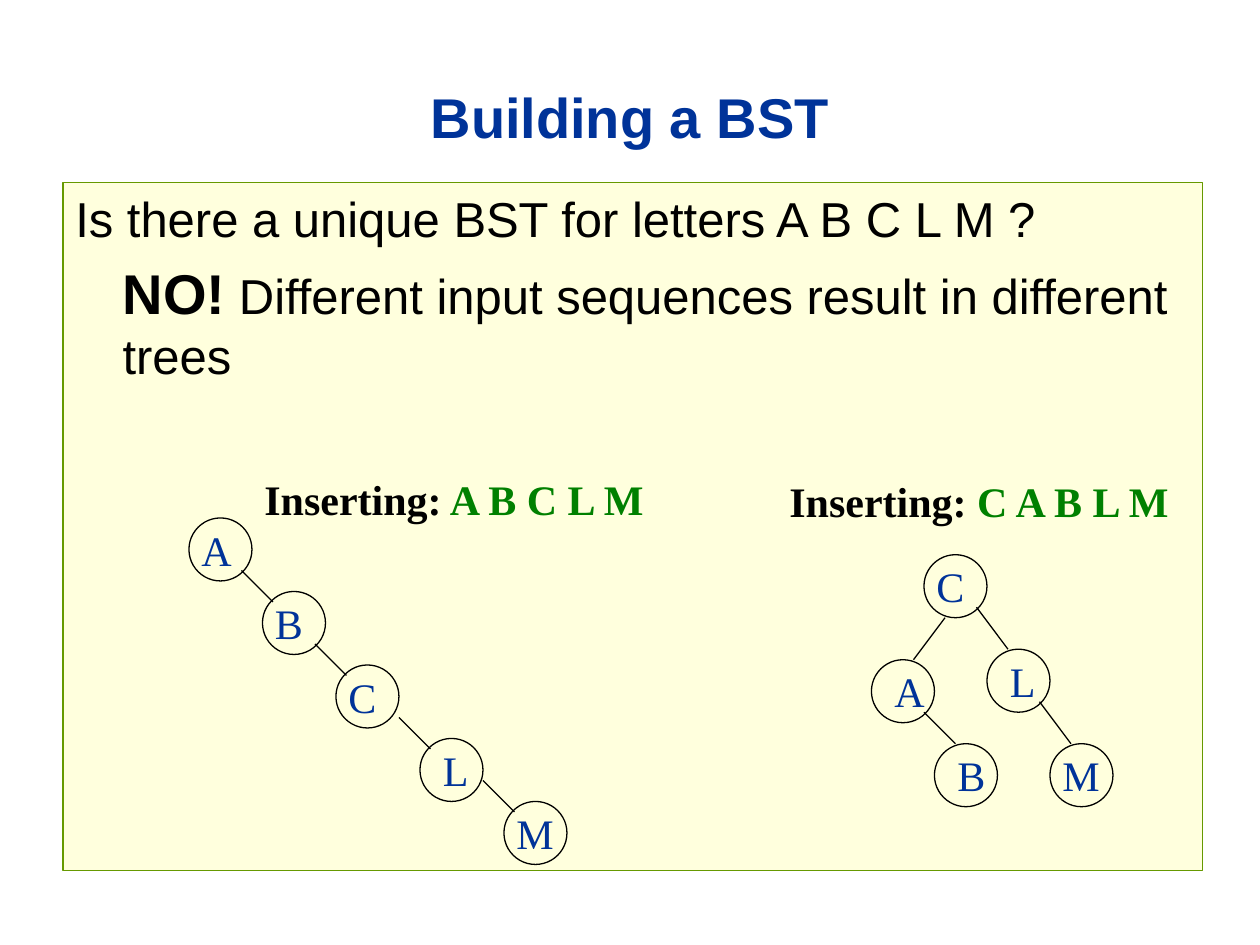
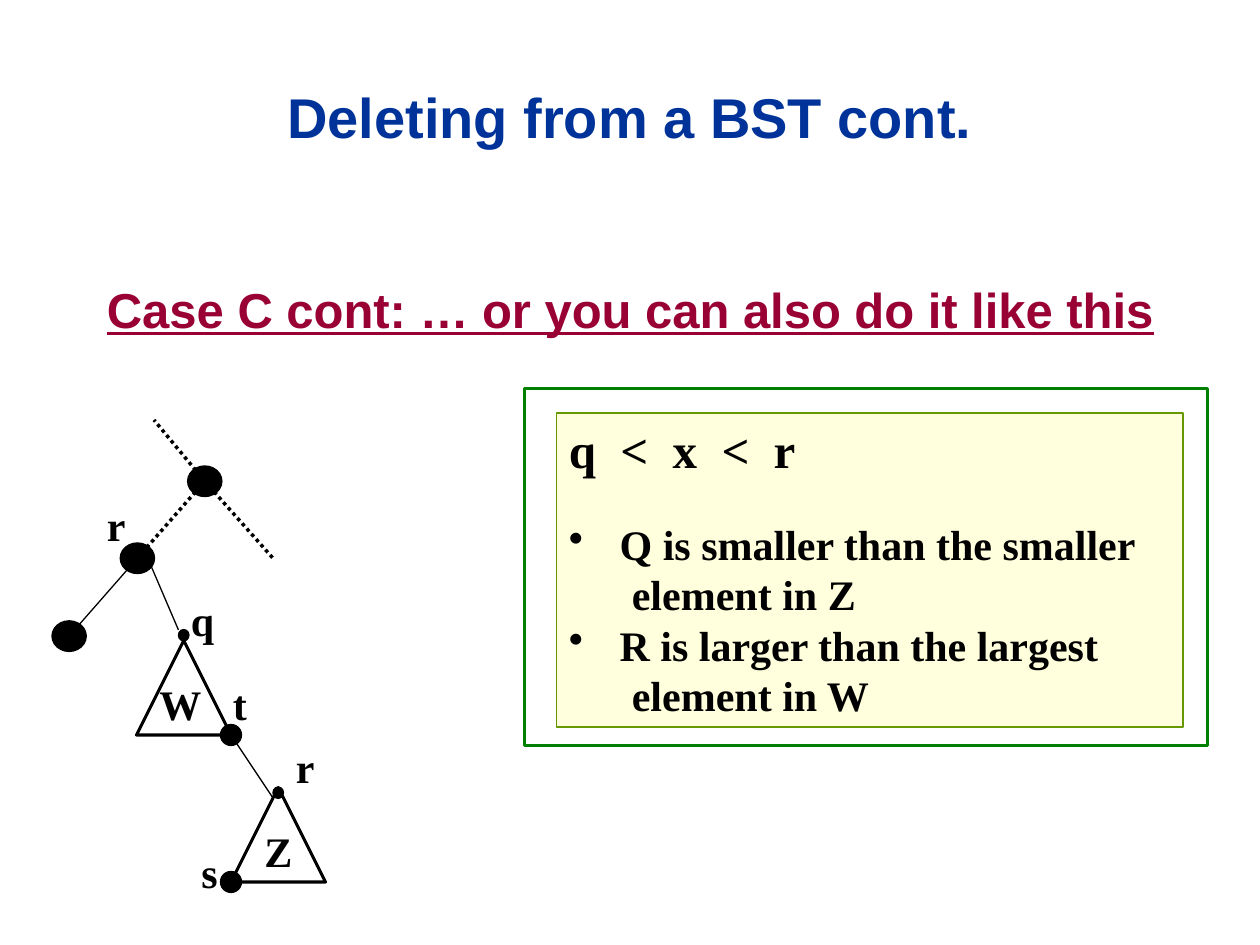
from lxml import etree
from pptx import Presentation
from pptx.dml.color import RGBColor
from pptx.enum.dml import MSO_LINE
from pptx.enum.shapes import MSO_CONNECTOR, MSO_SHAPE
from pptx.enum.text import MSO_ANCHOR, PP_ALIGN
from pptx.oxml.ns import qn
from pptx.util import Pt

BLACK = RGBColor(0x00, 0x00, 0x00)
BLUE = RGBColor(0x00, 0x33, 0x99)
GREEN = RGBColor(0x00, 0x80, 0x00)
OLIVE = RGBColor(0x66, 0x99, 0x00)
CREAM = RGBColor(0xFF, 0xFF, 0xDD)
MAROON = RGBColor(0x99, 0x00, 0x33)
SANS, SERIF = "Arial", "Times New Roman"

RECT, OVAL, TRIANGLE = MSO_SHAPE.RECTANGLE, MSO_SHAPE.OVAL, MSO_SHAPE.ISOSCELES_TRIANGLE
STRAIGHT, DOTTED = MSO_CONNECTOR.STRAIGHT, MSO_LINE.ROUND_DOT
CENTER, LEFT = PP_ALIGN.CENTER, PP_ALIGN.LEFT
TOP, MIDDLE = MSO_ANCHOR.TOP, MSO_ANCHOR.MIDDLE

NODE = 36   # diameter of a tree node
SHIFT = 6   # extra indent of some node labels


def add_run(p, text, size=24, font=SERIF, color=BLACK, bold=False,
            underline=False, spacing=0):
    r = p.add_run()
    r.text = text
    f = r.font
    f.size, f.name, f.bold = Pt(size), font, bold
    f.color.rgb = color
    if underline:
        f.underline = True
    if spacing:
        r._r.get_or_add_rPr().set("spc", str(spacing * 100))


class Deck:
    """Shared style and the current slide."""

    def __init__(self):
        self.prs = Presentation()
        self.prs.slide_width, self.prs.slide_height = Pt(720), Pt(540)
        self.s = None

    def slide(self, title):
        self.s = self.prs.slides.add_slide(self.prs.slide_layouts[6])
        tf = self.box(36, 21.6, 648, 90, wrap=True, anchor=MIDDLE)
        p = self.para(tf, align=CENTER)
        add_run(p, title, size=32, font=SANS, color=BLUE, bold=True)

    def box(self, x, y, w, h, wrap=False, anchor=TOP):
        tf = self.s.shapes.add_textbox(Pt(x), Pt(y), Pt(w), Pt(h)).text_frame
        tf.word_wrap, tf.vertical_anchor = wrap, anchor
        return tf

    def para(self, tf, align=LEFT, before=0, margin=0, indent=0, bullet=None):
        p = tf.paragraphs[0]
        if p.runs:
            p = tf.add_paragraph()
        p.alignment, p.space_before = align, Pt(before)
        pPr = p._p.get_or_add_pPr()
        pPr.set("marL", str(Pt(margin)))
        pPr.set("indent", str(Pt(indent)))
        if bullet:
            etree.SubElement(pPr, qn("a:buChar")).set("char", bullet)
        return p

    def label(self, x, y, text, w=30, **fmt):
        add_run(self.para(self.box(x, y, w, 36)), text, **fmt)

    def shape(self, kind, x, y, w, h, fill=None, line=BLACK, width=0.75):
        sp = self.s.shapes.add_shape(kind, Pt(x), Pt(y), Pt(w), Pt(h))
        sp.shadow.inherit = False
        if fill is None:
            sp.fill.background()
        else:
            sp.fill.solid()
            sp.fill.fore_color.rgb = fill
        sp.line.color.rgb, sp.line.width = line, Pt(width)
        tf = sp.text_frame
        tf.word_wrap, tf.vertical_anchor = True, TOP
        return tf

    def dot(self, cx, cy, w, h):
        self.shape(OVAL, cx - w / 2, cy - h / 2, w, h, fill=BLACK)

    def line(self, start, end, width=0.75, dash=None):
        c = self.s.shapes.add_connector(STRAIGHT, *map(Pt, start + end))
        c.line.color.rgb, c.line.width = BLACK, Pt(width)
        if dash:
            c.line.dash_style = dash
        etree.SubElement(c._element.spPr, qn("a:effectLst"))

    def node(self, x, y, letter, shift=0, edge=None):
        """Tree node; edge gives the link's start and end from its corner."""
        self.shape(OVAL, x, y, NODE, NODE)
        if edge:
            x1, y1, x2, y2 = edge
            self.line((x + x1, y + y1), (x + x2, y + y2))
        self.label(x + shift, y, letter, color=BLUE)

    def inserting(self, x, y, letters):
        p = self.para(self.box(x, y, 240, 36))
        add_run(p, "Inserting:", bold=True)
        add_run(p, " " + letters, color=GREEN, bold=True)


def building(d):
    d.slide("Building a BST")
    tf = d.shape(RECT, 36, 104.4, 651, 393, fill=CREAM, line=OLIVE)
    p = d.para(tf, before=6, margin=27, indent=-27)
    add_run(p, "Is there a unique BST for letters A B C L M ?", size=28, font=SANS)
    p = d.para(tf, before=6, margin=27)
    add_run(p, "NO!", size=32, font=SANS, bold=True)
    add_run(p, " Different input sequences result in different trees",
            size=28, font=SANS)

    # Degenerate tree
    chain_edge = (-12, -12, 6, 6)
    d.node(108, 296, "A")
    d.node(150, 338, "B", edge=chain_edge)
    d.node(192, 380, "C", edge=chain_edge)
    d.node(240, 422, "L", SHIFT, chain_edge)
    d.node(288, 458, "M", edge=chain_edge)
    d.inserting(144, 267, "A B C L M")

    # Balanced tree
    right_edge = (-6, -24, 12, 0)
    d.node(528, 317, "C")
    d.node(498, 377, "A", SHIFT, (42, -24, 24, 0))
    d.node(534, 425, "B", SHIFT, (-6, -18, 12, 0))
    d.node(564, 371, "L", SHIFT, right_edge)
    d.node(600, 425, "M", edge=right_edge)
    d.inserting(444, 268, "C A B L M")


def deleting(d):
    d.slide("Deleting from a BST cont.")
    p = d.para(d.box(54, 156, 666, 324, wrap=True), before=6)
    add_run(p, "Case C cont: … or you can also do it like this", size=28,
            font=SANS, color=MAROON, bold=True, underline=True)

    # Upper part of the tree
    parent, r_node, leaf = (117, 275), (78.5, 319), (39.5, 363.5)
    for center in (parent, r_node, leaf):
        d.dot(*center, 19.6, 17.5)
    d.line(leaf, r_node)
    for end in (r_node, (156, 319), (88, 240)):
        d.line(parent, end, width=2, dash=DOTTED)

    # Subtrees W and Z
    for x, y, apex_y in ((78, 366, 363), (132, 450, 453)):
        d.dot(x + 27, apex_y, 6, 6.5)
        d.shape(TRIANGLE, x, y, 54, 54, width=1.75)
    for y in (420, 504):
        d.dot(132, y, 12, 12)
    d.line((102, 360), (84, 318))
    d.line((156, 456), (132, 420))

    for x, y, text in ((84, 384, "W"), (102, 336, "q"), (54, 282, "r"),
                       (144, 468, "Z"), (108, 480, "s"), (162, 420, "r"),
                       (126, 384, "t")):
        d.label(x, y, text, bold=True)

    # Ordering rules
    tf = d.shape(RECT, 318, 236, 358, 179.5, fill=CREAM, line=OLIVE)
    add_run(d.para(tf), "q < x < r", size=28, bold=True, spacing=3.5)
    rules = (("Q is smaller than the smaller", "element in Z", 23),
             ("R is larger than the largest", "element in W", 0))
    for first, second, before in rules:
        p = d.para(tf, before=before, margin=29, indent=-29, bullet="•")
        add_run(p, first, bold=True)
        add_run(d.para(tf, margin=36), second, bold=True)
    d.shape(RECT, 300, 222, 390, 204, line=GREEN, width=1.75)


def main():
    d = Deck()
    building(d)
    deleting(d)
    d.prs.save("out.pptx")


if __name__ == "__main__":
    main()
